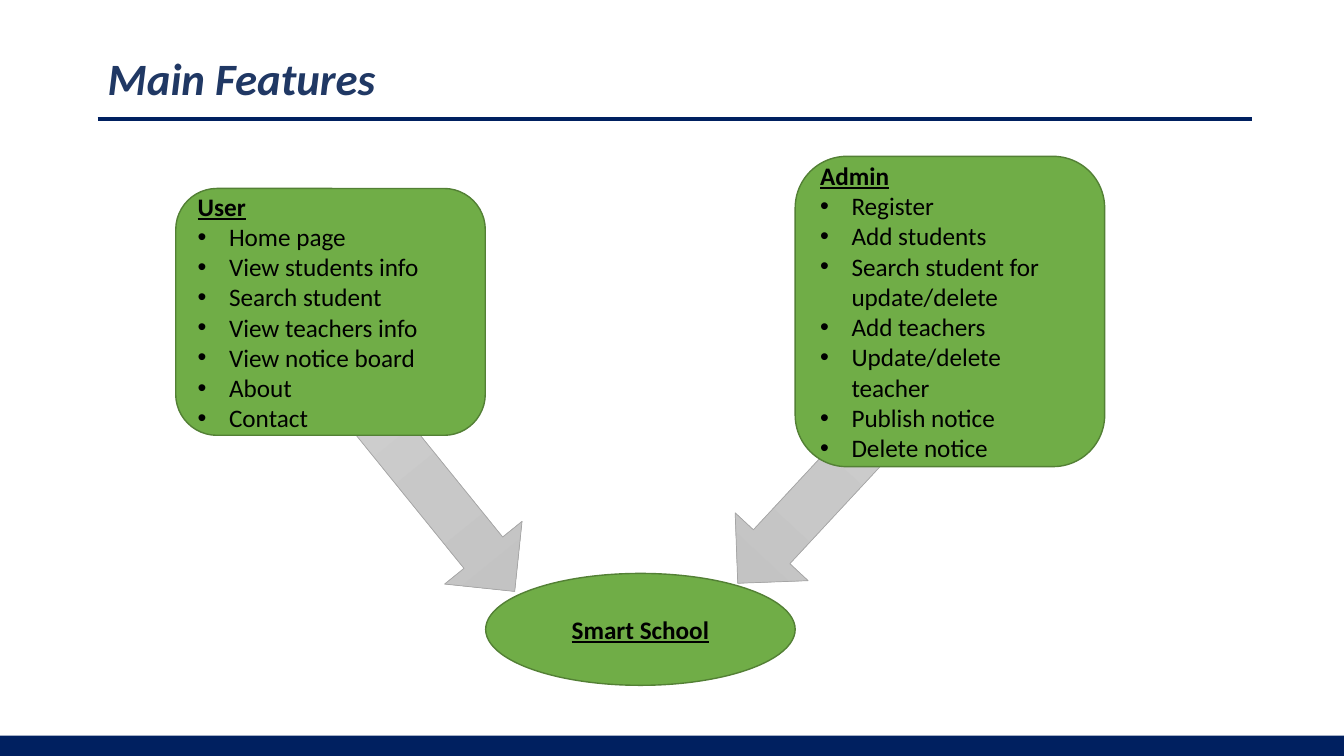
import copy
from dataclasses import dataclass

import pptx
import pptx.dml.color
import pptx.enum.shapes
import pptx.enum.text
import pptx.oxml
import pptx.oxml.ns
import pptx.util
from pptx.util import Cm

MSO = pptx.enum.shapes.MSO_SHAPE
ANCHOR = pptx.enum.text.MSO_ANCHOR
ALIGN = pptx.enum.text.PP_ALIGN
qn = pptx.oxml.ns.qn

COLORS = {
    "navy": "002060",
    "title": "203864",
    "green": "70AD47",
    "green_edge": "538035",
    "gray_edge": "A5A5A5",
    "text": "000000",
}
ARROW_STOPS = {0: "D2D2D2", 0.5: "C8C8C8", 1: "C0C0C0"}
FONT = "Calibri"
NODE_WIDTH = 7.8
ARROW_WIDTH = 2.51
INDENT = Cm(0.79)


@dataclass
class Node:
    preset: MSO
    left: float
    top: float
    height: float
    heading: str
    features: tuple[str, ...] = ()


@dataclass
class Arrow:
    left: float
    top: float
    length: float
    rotation: float


NODES = [
    Node(MSO.ROUNDED_RECTANGLE, 4.43, 4.75, 6.22, "User",
         ("Home page", "View students info", "Search student",
          "View teachers info", "View notice board", "About", "Contact")),
    Node(MSO.ROUNDED_RECTANGLE, 20.04, 3.94, 7.82, "Admin",
         ("Register", "Add students", "Search student for update/delete",
          "Add teachers", "Update/delete teacher", "Publish notice",
          "Delete notice")),
    Node(MSO.OVAL, 12.24, 14.45, 2.82, "Smart School"),
]
ARROWS = [Arrow(19.43, 9.37, 6.15, 42.9), Arrow(9.75, 9.35, 6.25, 321)]


def rgb(value: str) -> pptx.dml.color.RGBColor:
    return pptx.dml.color.RGBColor.from_string(value)


def style_font(p, size: float, color: str, bold: bool) -> None:
    for r in p.runs:
        r.font.name = FONT
        r.font.size = pptx.util.Pt(size)
        r.font.color.rgb = rgb(COLORS[color])
        r.font.bold = bold


def add_bullet(p) -> None:
    pPr = p._p.get_or_add_pPr()
    pPr.set("marL", str(INDENT))
    pPr.set("indent", str(-INDENT))
    pPr.makeelement(qn("a:buFont"))
    for tag, key, value in (("a:buFont", "typeface", "Arial"),
                            ("a:buChar", "char", "•")):
        bullet = pptx.oxml.xmlchemy.OxmlElement(tag)
        bullet.set(key, value)
        pPr.append(bullet)


def add_title(slide, text: str) -> None:
    s = slide.shapes.title
    s.left, s.top, s.width, s.height = Cm(2.46), Cm(1.07), Cm(27.36), Cm(1.96)
    tf = s.text_frame
    tf.text = text
    tf.auto_size = pptx.enum.text.MSO_AUTO_SIZE.NONE
    tf.vertical_anchor = ANCHOR.MIDDLE
    p = tf.paragraphs[0]
    p.alignment = ALIGN.LEFT
    p.line_spacing = 0.9
    style_font(p, 32, "title", True)
    p.runs[0].font.italic = True


def add_frame(slide) -> None:
    bar = slide.shapes.add_shape(MSO.RECTANGLE, 0, Cm(18.54), Cm(33.87), Cm(0.51))
    bar.shadow.inherit = False
    bar.fill.solid()
    bar.fill.fore_color.rgb = rgb(COLORS["navy"])
    bar.line.fill.background()
    rule = slide.shapes.add_connector(
        pptx.enum.shapes.MSO_CONNECTOR.STRAIGHT, Cm(2.46), Cm(3), Cm(31.55), Cm(3))
    rule.line.color.rgb = rgb(COLORS["navy"])
    rule.line.width = pptx.util.Pt(2.5)
    rule._element.spPr.append(pptx.oxml.xmlchemy.OxmlElement("a:effectLst"))


def add_arrow(slide, arrow: Arrow) -> None:
    s = slide.shapes.add_shape(MSO.DOWN_ARROW, Cm(arrow.left), Cm(arrow.top),
                               Cm(ARROW_WIDTH), Cm(arrow.length))
    s.rotation = arrow.rotation
    s.shadow.inherit = False
    s.fill.gradient()
    s.fill.gradient_angle = 270
    stops = s._element.spPr.find(".//" + qn("a:gsLst"))
    stops.append(copy.deepcopy(stops[-1]))
    for stop, (position, color) in zip(s.fill.gradient_stops, ARROW_STOPS.items()):
        stop.position = position
        stop.color.rgb = rgb(color)
    s.line.color.rgb = rgb(COLORS["gray_edge"])
    s.line.width = pptx.util.Pt(0.5)


def add_node(slide, node: Node) -> None:
    s = slide.shapes.add_shape(node.preset, Cm(node.left), Cm(node.top),
                               Cm(NODE_WIDTH), Cm(node.height))
    s.shadow.inherit = False
    s.fill.solid()
    s.fill.fore_color.rgb = rgb(COLORS["green"])
    s.line.color.rgb = rgb(COLORS["green_edge"])
    s.line.width = pptx.util.Pt(1)
    tf = s.text_frame
    tf.word_wrap = True
    tf.vertical_anchor = ANCHOR.MIDDLE
    tf.text = "\n".join((node.heading, *node.features))
    heading, *bullets = tf.paragraphs
    heading.alignment = ALIGN.LEFT if bullets else ALIGN.CENTER
    style_font(heading, 18, "text", True)
    heading.runs[0].font.underline = True
    for p in bullets:
        p.alignment = ALIGN.LEFT
        add_bullet(p)
        style_font(p, 18, "text", False)


def main() -> None:
    prs = pptx.Presentation()
    prs.slide_width, prs.slide_height = Cm(33.87), Cm(19.05)
    slide = prs.slides.add_slide(prs.slide_layouts[5])
    add_title(slide, "Main Features")
    add_frame(slide)
    for arrow in ARROWS:
        add_arrow(slide, arrow)
    for node in NODES:
        add_node(slide, node)
    prs.save("out.pptx")


if __name__ == "__main__":
    main()
